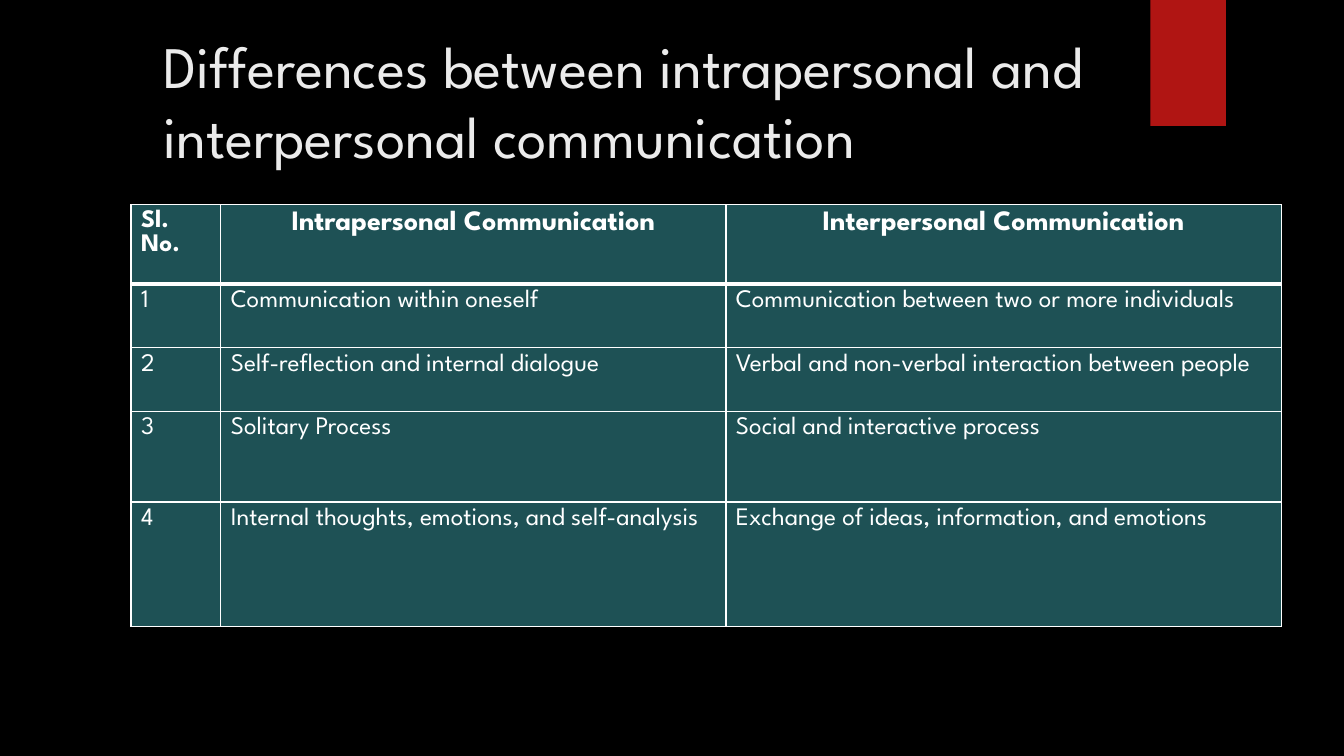
from pptx import Presentation
from pptx.dml.color import RGBColor
from pptx.enum.shapes import MSO_SHAPE as Shape
from pptx.enum.text import MSO_ANCHOR as Anchor, PP_ALIGN as Align
from pptx.oxml import parse_xml
from pptx.oxml.ns import nsdecls
from pptx.util import Inches, Pt

BLACK = RGBColor(0x00, 0x00, 0x00)
WHITE = RGBColor(0xFF, 0xFF, 0xFF)
OFF_WHITE = RGBColor(0xEB, 0xEB, 0xEB)
RED = RGBColor(0xB0, 0x15, 0x13)
TEAL = RGBColor(0x1E, 0x51, 0x55)
FONT = "League Spartan"

TITLE = "Differences between intrapersonal and interpersonal communication"
COLUMNS = [0.89, 5.01, 5.51]
HEADER_HEIGHT = 0.79
ROWS = [HEADER_HEIGHT, 0.63, 0.63, 0.9, 1.24]
HEADER = ("Sl. No.", "Intrapersonal Communication", "Interpersonal Communication")
DIFFERENCES = [
    ("Communication within oneself", "Communication between two or more individuals"),
    ("Self-reflection and internal dialogue",
     "Verbal and non-verbal interaction between people"),
    ("Solitary Process", "Social and interactive process"),
    ("Internal thoughts, emotions, and self-analysis",
     "Exchange of ideas, information, and emotions"),
]


def write(frame, text, size=18, color=WHITE, bold=False, align=Align.LEFT, leading=17):
    """Put one formatted paragraph into a text frame."""
    frame.word_wrap = True
    para = frame.paragraphs[0]
    para.alignment = align
    para.line_spacing = Pt(leading)
    para.space_before = para.space_after = Pt(0)
    span = para.add_run()
    span.text = text
    span.font.name = FONT
    span.font.size = Pt(size)
    span.font.bold = bold
    span.font.color.rgb = color


def set_borders(cell, **widths):
    """Draw white cell borders; widths are points keyed by side."""
    properties = cell._tc.get_or_add_tcPr()
    for position, (side, width) in enumerate(widths.items()):
        properties.insert(position, parse_xml(
            f'<a:ln{side} {nsdecls("a")} w="{Pt(width)}">'
            f'<a:solidFill><a:srgbClr val="{WHITE}"/></a:solidFill></a:ln{side}>'))


def add_ribbon(page, left, top, width, height):
    ribbon = page.shapes.add_shape(
        Shape.RECTANGLE, Inches(left), Inches(top), Inches(width), Inches(height))
    ribbon.shadow.inherit = False
    ribbon.fill.solid()
    ribbon.fill.fore_color.rgb = RED
    ribbon.line.fill.background()


def place_title(page, left, top, width, height):
    title = page.shapes.title
    title.left, title.top = Inches(left), Inches(top)
    title.width, title.height = Inches(width), Inches(height)
    title.text_frame.vertical_anchor = Anchor.MIDDLE
    write(title.text_frame, TITLE, size=42, color=OFF_WHITE, leading=50)


def add_comparison(page, left, top):
    table = page.shapes.add_table(
        len(ROWS), len(COLUMNS), Inches(left), Inches(top),
        Inches(sum(COLUMNS)), Inches(sum(ROWS))).table
    for column, width in zip(table.columns, COLUMNS):
        column.width = Inches(width)
    for row, height in zip(table.rows, ROWS):
        row.height = Inches(height)

    body = [(str(number), *pair) for number, pair in enumerate(DIFFERENCES, 1)]
    for row, texts in enumerate([HEADER, *body]):
        for column, text in enumerate(texts):
            cell = table.cell(row, column)
            cell.fill.solid()
            cell.fill.fore_color.rgb = TEAL
            set_borders(cell, L=1, R=1, T=3 if row == 1 else 1, B=3 if row == 0 else 1)
            if row == 0 and column > 0:
                write(cell.text_frame, text, size=20, bold=True,
                      align=Align.CENTER, leading=19)
            else:
                write(cell.text_frame, text, bold=row == 0)


def main():
    deck = Presentation()
    deck.slide_width, deck.slide_height = Inches(13.33), Inches(7.5)
    page = deck.slides.add_slide(deck.slide_layouts[5])
    page.background.fill.solid()
    page.background.fill.fore_color.rgb = BLACK

    add_ribbon(page, 11.41, 0, 0.75, 1.25)
    place_title(page, 1.52, 0.23, 10.29, 1.53)
    add_comparison(page, 1.3, 2.03)
    deck.save("out.pptx")


if __name__ == "__main__":
    main()
